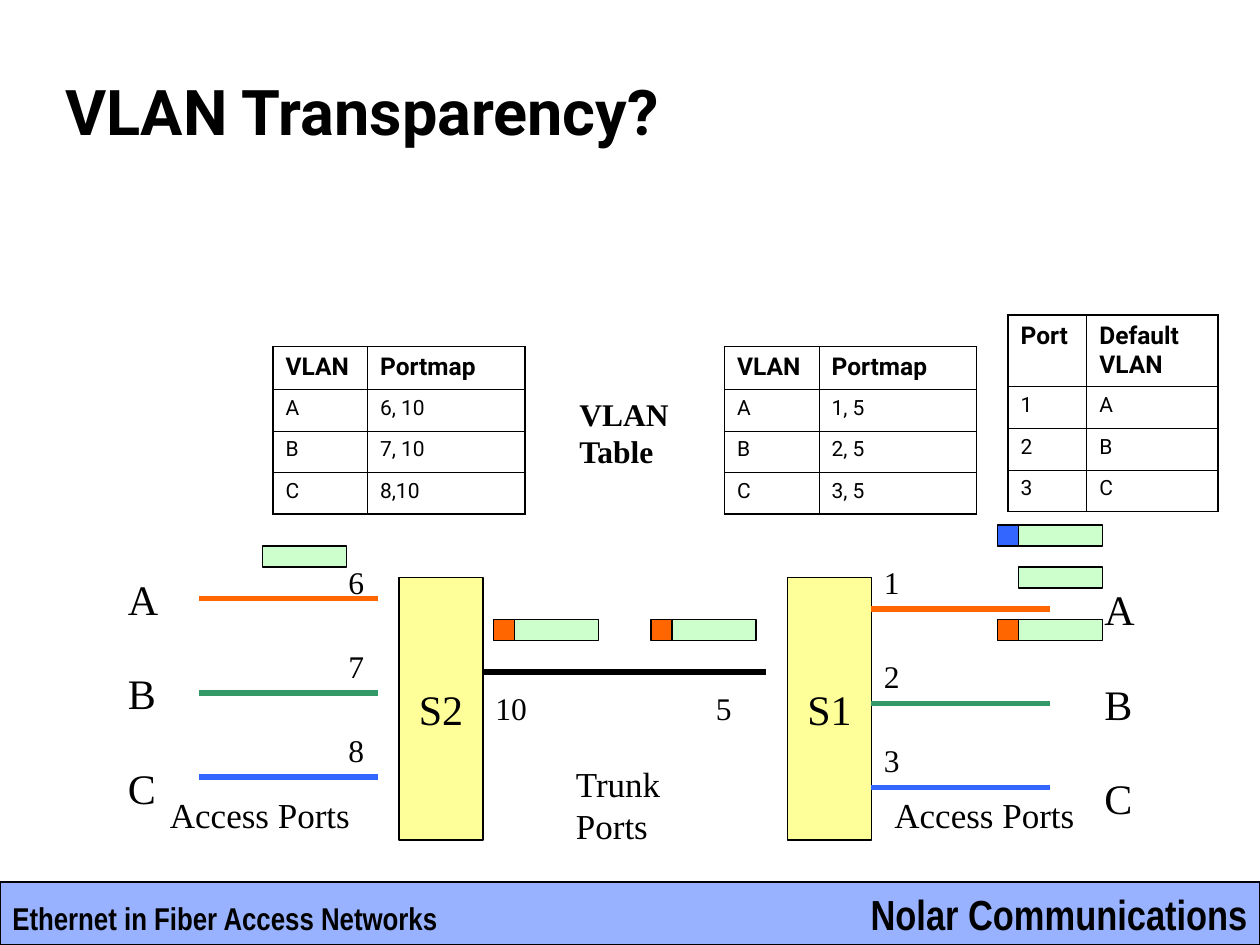
from dataclasses import dataclass

from lxml import etree
from pptx import Presentation
from pptx.dml.color import RGBColor
from pptx.enum.shapes import MSO_CONNECTOR, MSO_SHAPE
from pptx.enum.text import MSO_ANCHOR, MSO_AUTO_SIZE, PP_ALIGN
from pptx.oxml.ns import qn
from pptx.util import Pt

RECTANGLE = MSO_SHAPE.RECTANGLE
STRAIGHT = MSO_CONNECTOR.STRAIGHT
TOP, MIDDLE = MSO_ANCHOR.TOP, MSO_ANCHOR.MIDDLE
LEFT, CENTER, RIGHT = PP_ALIGN.LEFT, PP_ALIGN.CENTER, PP_ALIGN.RIGHT
NO_AUTOFIT = MSO_AUTO_SIZE.NONE

COLORS = {
    "black": "000000",
    "blue": "3366FF",
    "orange": "FF6600",
    "green": "339966",
    "payload": "CCFFCC",
    "switch": "FFFF99",
}
SERIF, SANS, NARROW = "Times New Roman", "Roboto", "Arial Narrow"
VLAN_COLORS = ("orange", "green", "blue")
TAG_SIZE, PAYLOAD_WIDTH = 12, 48
THIN, THICK = 0.45, 1.08


@dataclass
class Label:
    lines: tuple[str, ...]
    left: float
    top: float
    width: float
    height: float
    size: float
    font: str = SERIF
    bold: bool = False
    align: PP_ALIGN = LEFT
    wrap: bool = True


@dataclass
class Frame:
    left: float
    top: float
    tag: str | None = None


@dataclass
class Grid:
    left: float
    top: float
    widths: tuple[float, ...]
    header_height: float
    rows: tuple[tuple[str, ...], ...]


@dataclass
class Switch:
    name: str
    left: float
    line_left: float
    line_tops: tuple[float, ...]
    ports: tuple[str, ...]
    port_left: float
    port_tops: tuple[float, ...]
    vlan_left: float
    vlan_top: float
    caption_left: float


SWITCHES = (
    Switch("S2", 228, 114, (342, 396, 444), ("6", "7", "8"), 192,
           (318, 366, 414), 66, 324, 90),
    Switch("S1", 450, 498, (348, 402, 450), ("1", "2", "3"), 498,
           (318, 372, 420), 624, 330, 504),
)
GRIDS = (
    Grid(156, 198, (54, 90), 24.5,
         (("VLAN", "Portmap"), ("A", "6, 10"), ("B", "7, 10"), ("C", "8,10"))),
    Grid(414, 198, (54, 90), 24.5,
         (("VLAN", "Portmap"), ("A", "1, 5"), ("B", "2, 5"), ("C", "3, 5"))),
    Grid(576, 180, (45, 75), 41,
         (("Port", "Default VLAN"), ("1", "A"), ("2", "B"), ("3", "C"))),
)
FRAMES = (
    Frame(150, 312), Frame(294, 354, "orange"), Frame(384, 354, "orange"),
    Frame(582, 300, "blue"), Frame(582, 324), Frame(582, 354, "orange"),
)
LABELS = (
    Label(("VLAN", "Table"), 324, 222, 66, 50, 18, bold=True),
    Label(("Trunk", "Ports"), 322, 432, 68, 55, 20, wrap=False),
    Label(("10",), 276, 390, 36, 29, 18),
    Label(("5",), 402, 390, 36, 29, 18),
    Label(("Ethernet in Fiber Access Networks",), 0, 510, 258, 29, 18,
          NARROW, True, wrap=False),
    Label(("Nolar Communications",), 470, 504, 250, 36, 24, NARROW, True, RIGHT),
)


def rgb(name: str) -> RGBColor:
    return RGBColor.from_string(COLORS[name])


def write(frame, lines, size, font, bold=False, align=LEFT, anchor=TOP, wrap=True) -> None:
    """Fill a text frame with one paragraph per line."""
    settings = {"word_wrap": wrap, "auto_size": NO_AUTOFIT, "vertical_anchor": anchor}
    for name, value in settings.items():
        setattr(frame, name, value)
    for index, line in enumerate(lines):
        para = frame.paragraphs[0] if index == 0 else frame.add_paragraph()
        para.alignment = align
        span = para.add_run()
        span.text = line
        for name, value in {"size": Pt(size), "name": font, "bold": bold}.items():
            setattr(span.font, name, value)
        span.font.color.rgb = rgb("black")


def add_label(slide, label: Label) -> None:
    box = slide.shapes.add_textbox(
        Pt(label.left), Pt(label.top), Pt(label.width), Pt(label.height))
    write(box.text_frame, label.lines, label.size, label.font, label.bold,
          label.align, wrap=label.wrap)


def add_box(slide, left: float, top: float, width: float, height: float, color: str):
    box = slide.shapes.add_shape(RECTANGLE, Pt(left), Pt(top), Pt(width), Pt(height))
    box.shadow.inherit = False
    box.fill.solid()
    box.fill.fore_color.rgb = rgb(color)
    box.line.color.rgb = rgb("black")
    box.line.width = Pt(0.75)
    return box


def add_link(slide, left: float, right: float, top: float, color: str) -> None:
    link = slide.shapes.add_connector(STRAIGHT, Pt(left), Pt(top), Pt(right), Pt(top))
    link.line.color.rgb = rgb(color)
    link.line.width = Pt(3)
    etree.SubElement(link._element.spPr, qn("a:effectLst"))


def add_frame(slide, frame: Frame) -> None:
    add_box(slide, frame.left, frame.top, PAYLOAD_WIDTH, TAG_SIZE, "payload")
    if frame.tag:
        add_box(slide, frame.left - TAG_SIZE, frame.top, TAG_SIZE, TAG_SIZE, frame.tag)


def add_switch(slide, switch: Switch) -> None:
    body = add_box(slide, switch.left, 330, 48, 150, "switch")
    write(body.text_frame, (switch.name,), 24, SERIF, align=CENTER,
          anchor=MIDDLE, wrap=False)
    for index, color in enumerate(VLAN_COLORS):
        add_link(slide, switch.line_left, switch.line_left + 102,
                 switch.line_tops[index], color)
        add_label(slide, Label((switch.ports[index],), switch.port_left,
                               switch.port_tops[index], 24, 29, 18))
        add_label(slide, Label(("ABC"[index],), switch.vlan_left,
                               switch.vlan_top + 54 * index, 31, 36, 24, wrap=False))
    add_label(slide, Label(("Access Ports",), switch.caption_left, 450, 120, 32, 20))


def set_borders(cell, widths: dict[str, float]) -> None:
    properties = cell._tc.get_or_add_tcPr()
    for index, (side, width) in enumerate(widths.items()):
        border = etree.Element(qn(f"a:ln{side}"), w=str(Pt(width)))
        fill = etree.SubElement(border, qn("a:solidFill"))
        etree.SubElement(fill, qn("a:srgbClr"), val=COLORS["black"])
        properties.insert(index, border)


def add_grid(slide, grid: Grid) -> None:
    heights = [grid.header_height] + [23.8] * (len(grid.rows) - 1)
    last_row, last_column = len(heights) - 1, len(grid.widths) - 1
    table = slide.shapes.add_table(
        len(heights), len(grid.widths), Pt(grid.left), Pt(grid.top),
        Pt(sum(grid.widths)), Pt(sum(heights))).table
    table.first_row = table.horz_banding = False
    for column, width in zip(table.columns, grid.widths):
        column.width = Pt(width)
    for r, values in enumerate(grid.rows):
        table.rows[r].height = Pt(heights[r])
        for c, value in enumerate(values):
            cell = table.cell(r, c)
            cell.fill.background()
            write(cell.text_frame, (value,), 12 if r else 14, SANS, bold=r == 0)
            outer = {"L": c == 0, "R": c == last_column, "T": r == 0, "B": r == last_row}
            set_borders(cell, {side: THICK if edge else THIN for side, edge in outer.items()})


def add_title(slide, text: str) -> None:
    title = slide.shapes.title
    place = {"left": 30, "top": 36, "width": 612, "height": 54}
    for name, value in place.items():
        setattr(title, name, Pt(value))
    write(title.text_frame, (text,), 36, SANS, bold=True, anchor=MIDDLE)


def add_footer_bar(slide) -> None:
    bar = add_box(slide, 0, 504, 720, 36, "blue")
    color = bar._element.spPr.find(qn("a:solidFill"))[0]
    etree.SubElement(color, qn("a:alpha"), val="50000")


def main() -> None:
    deck = Presentation()
    deck.slide_width, deck.slide_height = Pt(720), Pt(540)
    page = deck.slides.add_slide(deck.slide_layouts[5])
    add_footer_bar(page)
    add_title(page, "VLAN Transparency?")
    for switch in SWITCHES:
        add_switch(page, switch)
    add_link(page, 276, 438, 384, "black")
    for label in LABELS:
        add_label(page, label)
    for grid in GRIDS:
        add_grid(page, grid)
    for frame in FRAMES:
        add_frame(page, frame)
    deck.save("out.pptx")


if __name__ == "__main__":
    main()
